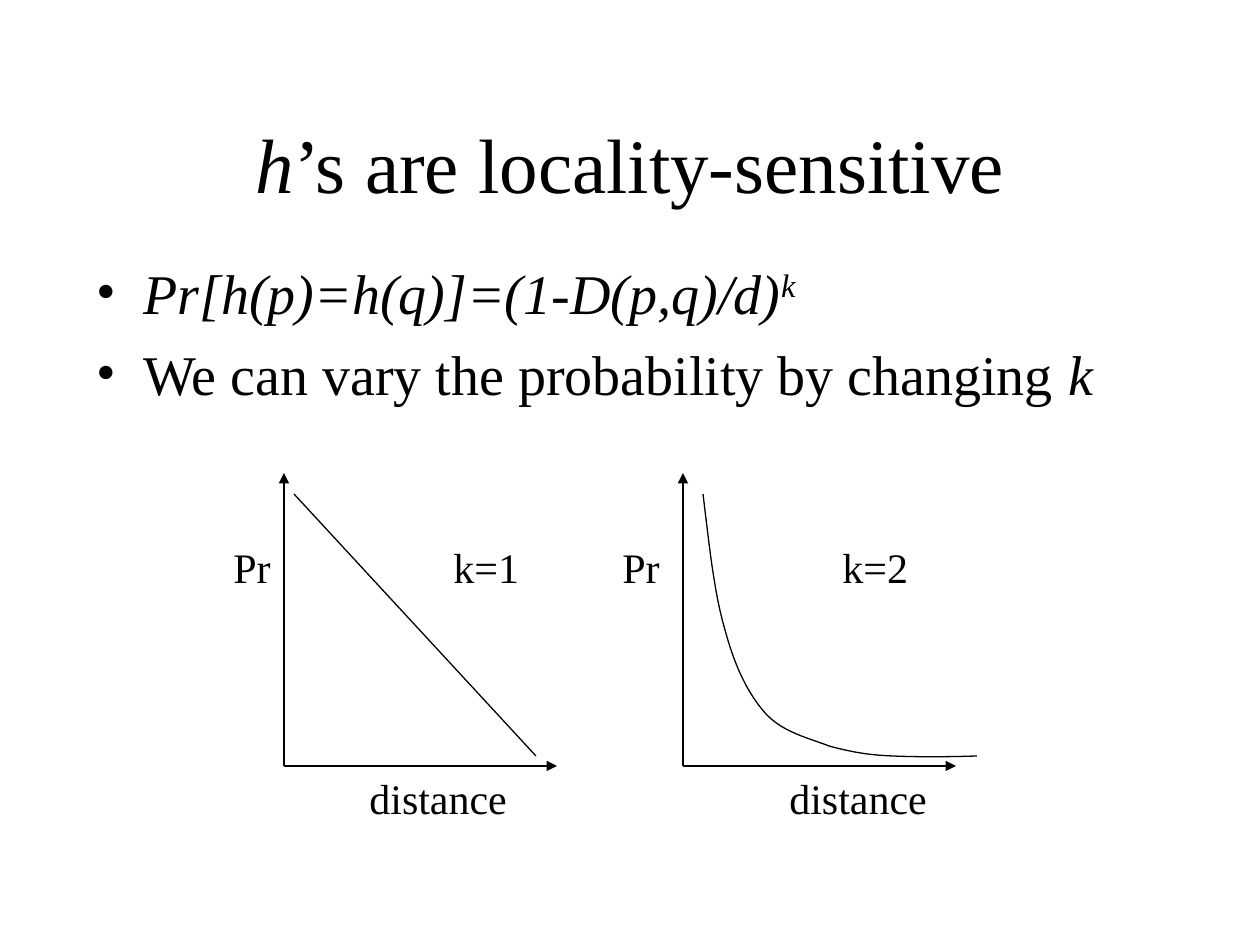
import pptx
import pptx.dml.color
import pptx.enum.shapes
import pptx.enum.text
import pptx.oxml.ns
import pptx.util
from lxml import etree

BLACK = pptx.dml.color.RGBColor(0, 0, 0)
PX = 914400 / 126
FONT = "Times New Roman"
ALIGN = pptx.enum.text.PP_ALIGN
ANCHOR = pptx.enum.text.MSO_ANCHOR


def add_xml(parent, tag, **attrs):
    return etree.SubElement(parent, pptx.oxml.ns.qn(tag), attrs)


def emu(*lengths):
    return [round(n * PX) for n in lengths]


class Deck:
    """Holds the style and the current slide, and draws each kind of element."""

    def __init__(self, width, height):
        self.prs = pptx.Presentation()
        self.prs.slide_width, self.prs.slide_height = emu(width, height)
        self.s = self.prs.slides.add_slide(self.prs.slide_layouts[6])

    def text(self, box, paragraphs, size, align=ALIGN.LEFT,
             anchor=ANCHOR.TOP, wrap=True, bullets=False):
        tf = self.s.shapes.add_textbox(*emu(*box)).text_frame
        tf.word_wrap, tf.vertical_anchor = wrap, anchor
        if not wrap:
            tf.auto_size = pptx.enum.text.MSO_AUTO_SIZE.SHAPE_TO_FIT_TEXT
        for i, runs in enumerate(paragraphs):
            p = tf.add_paragraph() if i else tf.paragraphs[0]
            p.alignment = align
            if bullets:
                self.bullet(p)
            p.font.name, p.font.size = FONT, pptx.util.Pt(size)
            p.font.color.rgb = BLACK
            for words, style in runs:
                r = p.add_run()
                r.text = words
                r.font.italic = "i" in style
                if "^" in style:
                    r.font._element.set("baseline", "30000")

    def bullet(self, p):
        p.space_before = pptx.util.Pt(8)
        pPr = p._p.get_or_add_pPr()
        indent, = emu(47)
        pPr.set("marL", str(indent))
        pPr.set("indent", str(-indent))
        add_xml(pPr, "a:buFont", typeface=FONT)
        add_xml(pPr, "a:buChar", char="•")

    def stroke(self, sp):
        sp.line.color.rgb = BLACK
        sp.line.width = pptx.util.Pt(0.75)

    def line(self, x1, y1, x2, y2, arrow=False):
        sp = self.s.shapes.add_connector(
            pptx.enum.shapes.MSO_CONNECTOR.STRAIGHT, *emu(x1, y1, x2, y2))
        self.stroke(sp)
        spPr = sp._element.spPr
        if arrow:
            add_xml(spPr.get_or_add_ln(), "a:tailEnd", type="triangle")
        add_xml(spPr, "a:effectLst")

    def curve(self, start, beziers, steps=12):
        points, p0 = [], start
        for p1, p2, p3 in beziers:
            for t in (n / steps for n in range(1, steps + 1)):
                u = 1 - t
                points.append(emu(*(
                    u**3 * a + 3 * u * u * t * b + 3 * u * t * t * c + t**3 * d
                    for a, b, c, d in zip(p0, p1, p2, p3))))
            p0 = p3
        fb = self.s.shapes.build_freeform(*emu(*start), scale=1.0)
        fb.add_line_segments(points, close=False)
        sp = fb.convert_to_shape()
        sp.fill.background()
        sp.shadow.inherit = False
        self.stroke(sp)

    def plot(self, x, pr_x, k_x, distance_x, k_label):
        base = 766
        self.line(x, base, x, 473, arrow=True)
        self.line(x, base, x + 273, base, arrow=True)
        self.text((pr_x, 535, 63, 63), [[("Pr", "")]], 24, wrap=False)
        self.text((k_x, 535, 91, 63), [[(k_label, "")]], 24, wrap=False)
        self.text((distance_x, base, 163, 63), [[("distance", "")]], 24)


def main():
    deck = Deck(1260, 945)
    deck.text((95, 84, 1071, 158),
              [[("h", "i"), ("’s are locality-sensitive", "")]],
              44, ALIGN.CENTER, ANCHOR.MIDDLE)
    deck.text((84, 252, 1081, 179),
              [[("Pr[h(p)=h(q)]=(1-D(p,q)/d)", "i"), ("k", "i^")],
               [("We can vary the probability by changing ", ""), ("k", "i")]],
              32, bullets=True)
    deck.plot(284, 221, 441, 357, "k=1")
    deck.line(294, 494, 536, 756)
    deck.plot(683, 610, 830, 777, "k=2")
    deck.curve((703, 494), [
        ((709, 543), (714, 593), (725, 630)),
        ((735, 667), (748, 694), (766, 714)),
        ((784, 733), (809, 738), (829, 746)),
        ((851, 752), (868, 755), (892, 756)),
        ((917, 757), (946, 757), (977, 756)),
    ])
    deck.prs.save("out.pptx")


if __name__ == "__main__":
    main()
